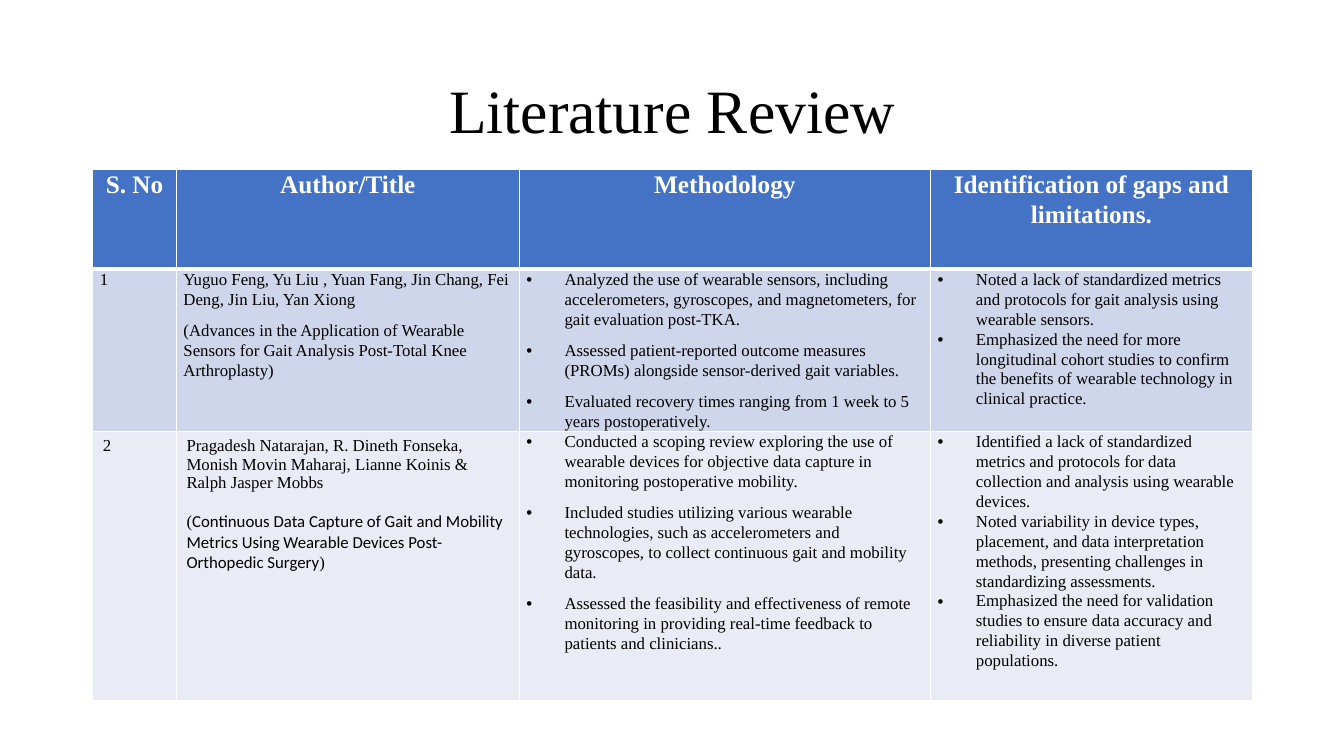
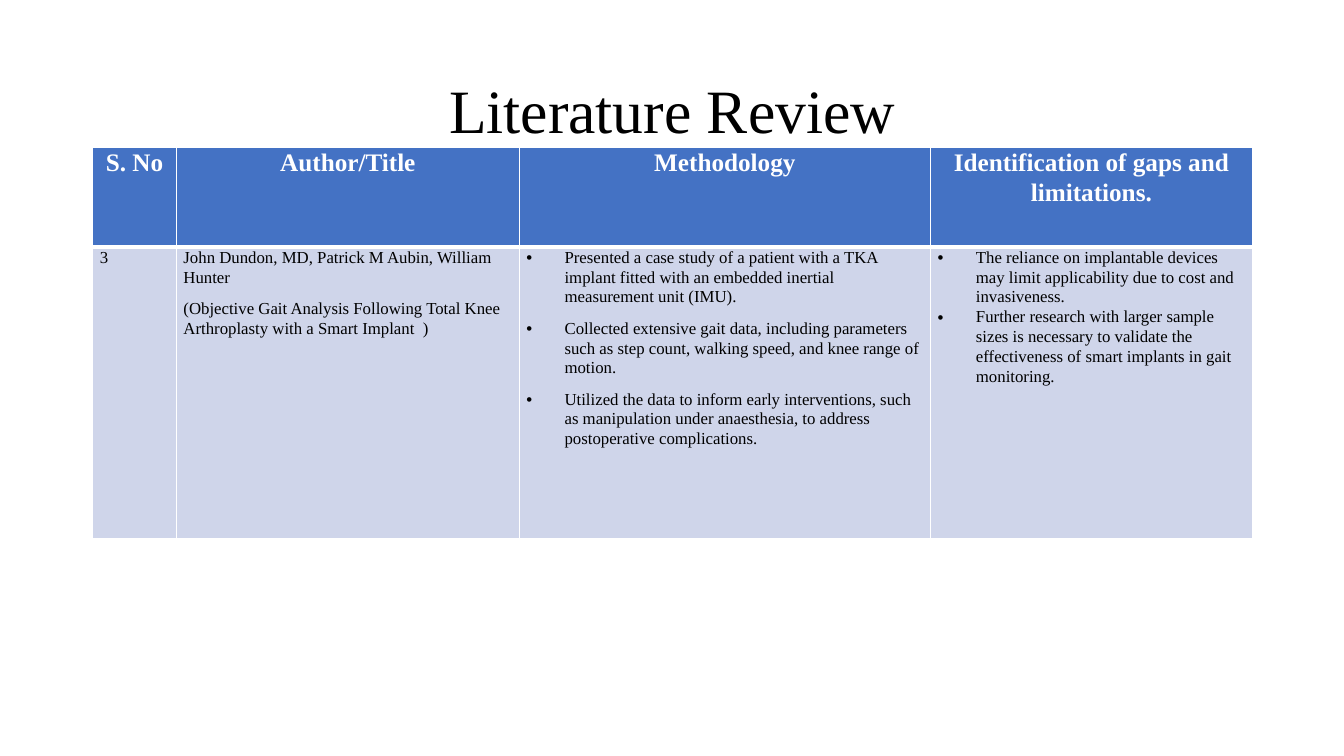
from dataclasses import dataclass

from lxml.etree import SubElement
from pptx import Presentation
from pptx.dml.color import RGBColor
from pptx.enum.text import MSO_ANCHOR, PP_ALIGN
from pptx.oxml.ns import qn
from pptx.util import Inches, Pt

# Shared look
SLIDE_W, SLIDE_H = Inches(13.33), Inches(7.5)
SERIF, SANS = "Times New Roman", "Calibri"
BLACK, WHITE, BLUE = "000000", "FFFFFF", "4472C4"
BANDS = ("CFD5EA", "E9EBF5")
LEFT, WIDTH = Inches(0.92), Inches(11.5)
COLUMN_SHARES = (0.07, 0.3, 0.35, 0.28)
COLUMNS = [Inches(w) for w in (0.83, 3.4, 4.08, 3.19)]
HEADINGS = ("S. No", "Author/Title", "Methodology",
            "Identification of gaps and limitations.")
HEADER_H = 0.99
BULLET_INDENT = Inches(0.38)


@dataclass
class Study:
    number: str
    authors: str
    title: str
    methods: list[str]
    gaps: list[str]
    height: float
    title_font: str = SERIF
    loose: bool = False  # wider insets and single line spacing


@dataclass
class Review:
    top: float
    studies: list[Study]


REVIEWS = [
    Review(1.68, [
        Study(
            "1",
            "Yuguo Feng, Yu Liu , Yuan Fang, Jin Chang, Fei Deng, Jin Liu, Yan Xiong",
            "Advances in the Application of Wearable Sensors for Gait Analysis "
            "Post-Total Knee Arthroplasty",
            ["Analyzed the use of wearable sensors, including accelerometers, "
             "gyroscopes, and magnetometers, for gait evaluation post-TKA.",
             "Assessed patient-reported outcome measures (PROMs) alongside "
             "sensor-derived gait variables.",
             "Evaluated recovery times ranging from 1 week to 5 years postoperatively."],
            ["Noted a lack of standardized metrics and protocols for gait analysis "
             "using wearable sensors.",
             "Emphasized the need for more longitudinal cohort studies to confirm the "
             "benefits of wearable technology in clinical practice."],
            height=1.61),
        Study(
            "2",
            "Pragadesh Natarajan, R. Dineth Fonseka, Monish Movin Maharaj, "
            "Lianne Koinis & Ralph Jasper Mobbs",
            "Continuous Data Capture of Gait and Mobility Metrics Using Wearable "
            "Devices Post-Orthopedic Surgery",
            ["Conducted a scoping review exploring the use of wearable devices for "
             "objective data capture in monitoring postoperative mobility.",
             "Included studies utilizing various wearable technologies, such as "
             "accelerometers and gyroscopes, to collect continuous gait and mobility data.",
             "Assessed the feasibility and effectiveness of remote monitoring in "
             "providing real-time feedback to patients and clinicians.."],
            ["Identified a lack of standardized metrics and protocols for data "
             "collection and analysis using wearable devices.",
             "Noted variability in device types, placement, and data interpretation "
             "methods, presenting challenges in standardizing assessments.",
             "Emphasized the need for validation studies to ensure data accuracy and "
             "reliability in diverse patient populations."],
            height=2.67, title_font=SANS, loose=True),
    ]),
    Review(1.46, [
        Study(
            "3",
            "John Dundon, MD, Patrick M Aubin, William Hunter",
            "Objective Gait Analysis Following Total Knee Arthroplasty with a "
            "Smart Implant  ",
            ["Presented a case study of a patient with a TKA implant fitted with an "
             "embedded inertial measurement unit (IMU).",
             "Collected extensive gait data, including parameters such as step count, "
             "walking speed, and knee range of motion.",
             "Utilized the data to inform early interventions, such as manipulation "
             "under anaesthesia, to address postoperative complications."],
            ["The reliance on implantable devices may limit applicability due to cost "
             "and invasiveness.",
             "Further research with larger sample sizes is necessary to validate the "
             "effectiveness of smart implants in gait monitoring."],
            height=2.89),
    ]),
]


def rgb(color: str) -> RGBColor:
    return RGBColor.from_string(color)


def add_run(p, text: str, size: float, color: str = BLACK,
            font: str = SERIF, bold: bool = False) -> None:
    r = p.add_run()
    r.text = text
    r.font.size, r.font.name, r.font.bold = Pt(size), font, bold
    r.font.color.rgb = rgb(color)


def add_bullet(p) -> None:
    pPr = p._p.get_or_add_pPr()
    pPr.set("marL", str(BULLET_INDENT))
    pPr.set("indent", str(-BULLET_INDENT))
    SubElement(pPr, qn("a:buFont")).set("typeface", "Arial")
    SubElement(pPr, qn("a:buChar")).set("char", "•")


def style_cell(cell, fill: str, top: float = 1, bottom: float = 1,
               loose: bool = False) -> None:
    tcPr = cell._tc.get_or_add_tcPr()
    for side, width in (("L", 1), ("R", 1), ("T", top), ("B", bottom)):
        ln = SubElement(tcPr, qn(f"a:ln{side}"), w=str(Pt(width)))
        SubElement(SubElement(ln, qn("a:solidFill")), qn("a:srgbClr")).set("val", WHITE)
    cell.fill.solid()
    cell.fill.fore_color.rgb = rgb(fill)
    cell.margin_left = cell.margin_right = Inches(0.1 if loose else 0.07)
    cell.margin_top = cell.margin_bottom = Inches(0.05 if loose else 0)


def write_cell(cell, paragraphs: list[list[tuple[str, str]]], gap: float = 0,
               spacing: float = 1.07, bullets: bool = False) -> None:
    """Each paragraph is a list of (text, font) runs."""
    tf = cell.text_frame
    for i, runs in enumerate(paragraphs):
        p = tf.add_paragraph() if i else tf.paragraphs[0]
        p.line_spacing = spacing
        p.space_after = Pt(gap if i < len(paragraphs) - 1 else 0)
        if bullets:
            add_bullet(p)
        for text, font in runs:
            add_run(p, text, 12, font=font)


def add_header(table) -> None:
    for cell, heading in zip(table.rows[0].cells, HEADINGS):
        style_cell(cell, BLUE, bottom=3)
        p = cell.text_frame.paragraphs[0]
        p.alignment, p.line_spacing = PP_ALIGN.CENTER, 1.07
        add_run(p, heading, 18, WHITE, bold=True)


def add_study(row, study: Study, index: int) -> None:
    number, author, methods, gaps = row.cells
    for cell in row.cells:
        loose = study.loose and cell in (number, author)
        style_cell(cell, BANDS[index % 2], top=1 if index else 3, loose=loose)
    spacing = 1.0 if study.loose else 1.07
    title = [("(", SERIF), (study.title, study.title_font), (")", SERIF)]
    if study.title_font == SERIF:
        title = [(f"({study.title})", SERIF)]
    write_cell(number, [[(study.number, SERIF)]], spacing=spacing)
    write_cell(author, [[(study.authors, SERIF)], title],
               gap=14 if study.loose else 8, spacing=spacing)
    write_cell(methods, [[(m, SERIF)] for m in study.methods], gap=8, bullets=True)
    write_cell(gaps, [[(g, SERIF)] for g in study.gaps], bullets=True)


def add_title(s) -> None:
    title = s.shapes.title
    title.left, title.top = LEFT, Inches(0.4)
    title.width, title.height = WIDTH, Inches(1.45)
    tf = title.text_frame
    tf.vertical_anchor = MSO_ANCHOR.MIDDLE
    p = tf.paragraphs[0]
    p.alignment, p.line_spacing = PP_ALIGN.CENTER, 0.9
    add_run(p, "Literature Review", 44)


def add_review(prs, review: Review) -> None:
    s = prs.slides.add_slide(prs.slide_layouts[5])
    add_title(s)
    heights = [Inches(h) for h in (HEADER_H, *(st.height for st in review.studies))]
    table = s.shapes.add_table(len(heights), len(COLUMNS), LEFT, Inches(review.top),
                               WIDTH, sum(heights)).table
    for column, width in zip(table.columns, COLUMNS):
        column.width = width
    for row, height in zip(table.rows, heights):
        row.height = height
    add_header(table)
    for i, study in enumerate(review.studies):
        add_study(table.rows[i + 1], study, i)


def main() -> None:
    prs = Presentation()
    prs.slide_width, prs.slide_height = SLIDE_W, SLIDE_H
    for review in REVIEWS:
        add_review(prs, review)
    prs.save("out.pptx")


if __name__ == "__main__":
    main()
